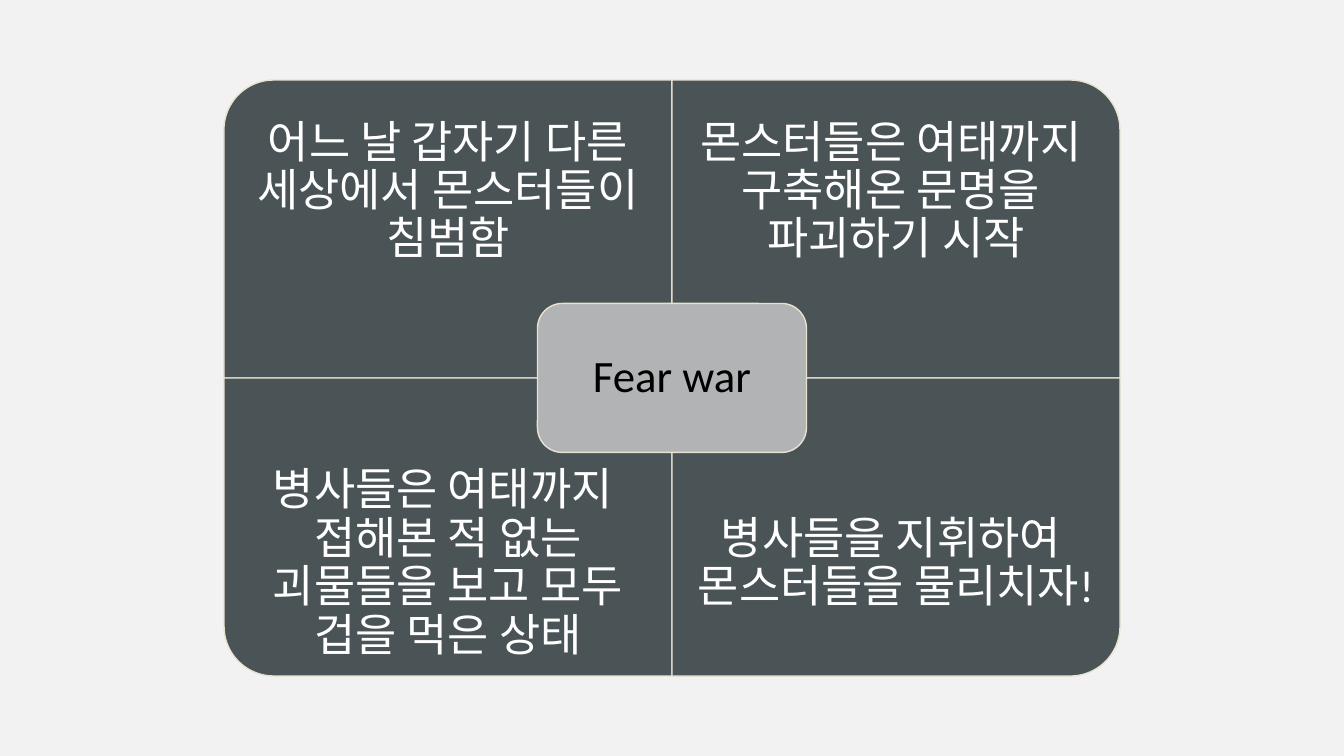
from pptx import Presentation
from pptx.dml.color import RGBColor
from pptx.enum.shapes import MSO_SHAPE
from pptx.enum.text import MSO_ANCHOR, PP_ALIGN
from pptx.util import Emu, Pt

PANEL_SHAPE = MSO_SHAPE.ROUND_1_RECTANGLE
CENTRE_SHAPE = MSO_SHAPE.ROUNDED_RECTANGLE
MIDDLE = MSO_ANCHOR.MIDDLE
CENTRED = PP_ALIGN.CENTER

# Column, row, rotation that turns the round corner outwards, text
PANELS = [
    (0, 0, 270, "어느 날 갑자기 다른 세상에서 몬스터들이 침범함"),
    (1, 0, 0, "몬스터들은 여태까지 \n구축해온 문명을 \n파괴하기 시작"),
    (0, 1, 180, "병사들은 여태까지 \n접해본 적 없는 괴물들을 보고 모두 겁을 먹은 상태"),
    (1, 1, 90, "병사들을 지휘하여 \n몬스터들을 물리치자!"),
]
CENTRE_TEXT = "Fear war"

COLOURS = {
    "background": "F2F2F2",
    "panel": "4A5356",
    "centre": "B2B3B4",
    "outline": "E8E3CE",
    "panel_text": "FFFFFF",
    "centre_text": "000000",
}
FONT = {"name": "Calibri", "size": Pt(32)}

SCALE = 9071  # EMU per pixel at 100.8 pixels to the inch
SLIDE_WIDTH, SLIDE_HEIGHT = 1344, 756
MIDDLE_X, MIDDLE_Y = SLIDE_WIDTH // 2, SLIDE_HEIGHT // 2
PANEL_WIDTH, PANEL_HEIGHT = 448, 298
TEXT_HEIGHT = 224
CENTRE_WIDTH, CENTRE_HEIGHT = 269, 149
PANEL_INSET, CENTRE_INSET = 25, 13


def px(pixels):
    """Turn pixels into EMU."""
    return Emu(round(pixels * SCALE))


def colour(name):
    """Look up a colour by its role."""
    return RGBColor.from_string(COLOURS[name])


def add_block(slide, kind, centre_x, centre_y, width, height, fill):
    """Add an outlined shape around a centre point."""
    shape = slide.shapes.add_shape(
        kind, px(centre_x - width / 2), px(centre_y - height / 2), px(width), px(height))
    shape.shadow.inherit = False
    shape.fill.solid()
    shape.fill.fore_color.rgb = colour(fill)
    shape.line.color.rgb = colour("outline")
    shape.line.width = Pt(1)
    return shape


def write_text(shape, text, text_colour, inset):
    """Write centred text with an equal inset on all sides."""
    frame = shape.text_frame
    frame.word_wrap = True
    frame.vertical_anchor = MIDDLE
    for side in ("left", "top", "right", "bottom"):
        setattr(frame, f"margin_{side}", px(inset))
    paragraph = frame.paragraphs[0]
    paragraph.text = text
    paragraph.alignment = CENTRED
    paragraph.line_spacing = 0.9
    for run in paragraph.runs:
        for attribute, value in FONT.items():
            setattr(run.font, attribute, value)
        run.font.color.rgb = colour(text_colour)


def add_panel(slide, column, row, rotation, text):
    """Add one quarter of the matrix and its text box at the outer edge."""
    left = MIDDLE_X + (column - 1) * PANEL_WIDTH
    top = MIDDLE_Y + (row - 1) * PANEL_HEIGHT
    size = (PANEL_WIDTH, PANEL_HEIGHT)
    if rotation % 180:
        size = size[::-1]
    panel = add_block(slide, PANEL_SHAPE, left + PANEL_WIDTH / 2,
                      top + PANEL_HEIGHT / 2, *size, "panel")
    panel.rotation = rotation
    text_top = top + row * (PANEL_HEIGHT - TEXT_HEIGHT)
    box = slide.shapes.add_textbox(px(left), px(text_top), px(PANEL_WIDTH), px(TEXT_HEIGHT))
    write_text(box, text, "panel_text", PANEL_INSET)


presentation = Presentation()
presentation.slide_width = px(SLIDE_WIDTH)
presentation.slide_height = px(SLIDE_HEIGHT)
slide = presentation.slides.add_slide(presentation.slide_layouts[6])
slide.background.fill.solid()
slide.background.fill.fore_color.rgb = colour("background")

for panel_content in PANELS:
    add_panel(slide, *panel_content)
centre = add_block(slide, CENTRE_SHAPE, MIDDLE_X, MIDDLE_Y,
                   CENTRE_WIDTH, CENTRE_HEIGHT, "centre")
write_text(centre, CENTRE_TEXT, "centre_text", CENTRE_INSET)

presentation.save("out.pptx")
